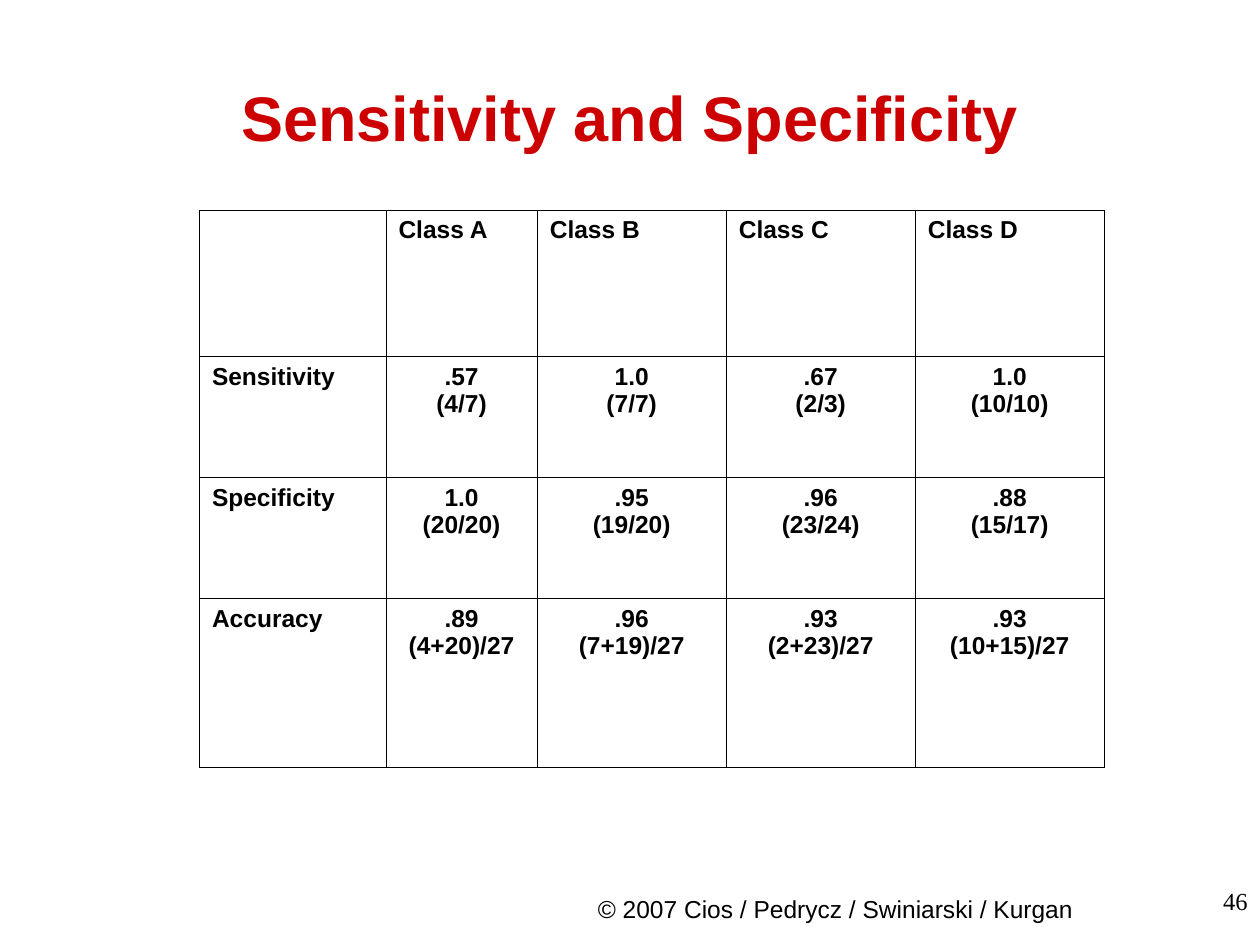
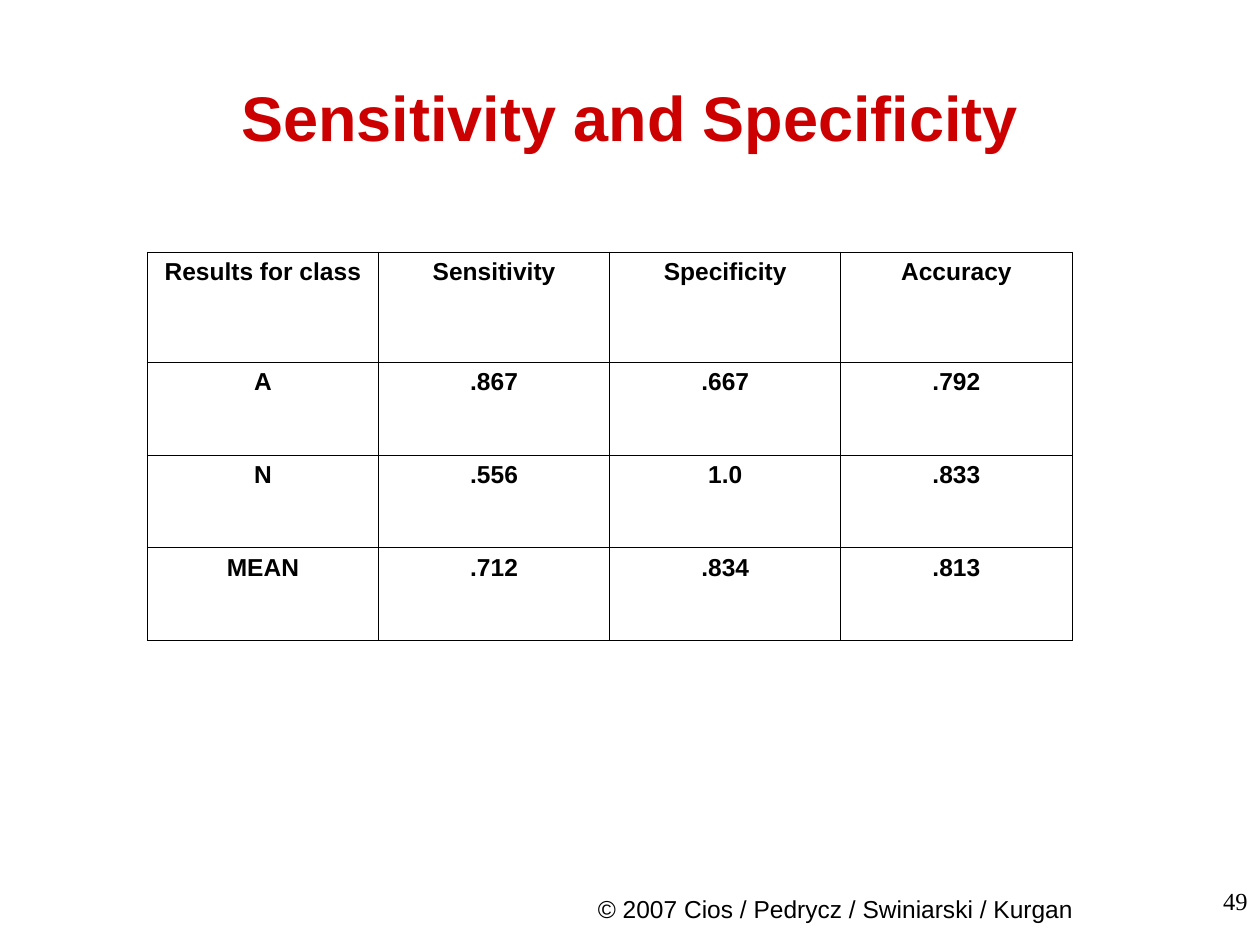
"""Build two slides with tables of sensitivity, specificity and accuracy."""
from lxml import etree
from pptx import Presentation
from pptx.dml.color import RGBColor
from pptx.enum.text import MSO_ANCHOR, PP_ALIGN
from pptx.oxml.ns import qn
from pptx.util import Cm, Pt

CENTER, RIGHT, JUSTIFY = PP_ALIGN.CENTER, PP_ALIGN.RIGHT, PP_ALIGN.JUSTIFY
TOP, MIDDLE, BOTTOM = MSO_ANCHOR.TOP, MSO_ANCHOR.MIDDLE, MSO_ANCHOR.BOTTOM

COLORS = {"title": "CC0000", "text": "000000", "border": "000000", "cell": "FFFFFF"}
TITLE = "Sensitivity and Specificity"
FOOTER = "© 2007 Cios / Pedrycz / Swiniarski / Kurgan"
TITLE_BOX = (1.27, 0.76, 22.86, 3.18)
FOOTER_BOX = (8.69, 17.35, 16.31, 1.32)
NUMBER_BOX = (19.48, 17.73, 5.92, 1.32)
BORDER_WIDTH = Pt(0.45)

SLIDES = [
    {
        "number": "46",
        "origin": (4.02, 4.24),
        "widths": [3.76, 3.05, 3.81, 3.81, 3.81],
        "heights": [2.95, 2.44, 2.44, 3.4],
        "label_align": JUSTIFY,
        "rows": [
            ["", "Class A", "Class B", "Class C", "Class D"],
            ["Sensitivity", ".57\n(4/7)", "1.0\n(7/7)", ".67\n(2/3)", "1.0\n(10/10)"],
            ["Specificity", "1.0\n(20/20)", ".95\n(19/20)", ".96\n(23/24)", ".88\n(15/17)"],
            ["Accuracy", ".89 (4+20)/27", ".96\n(7+19)/27", ".93\n(2+23)/27", ".93\n(10+15)/27"],
        ],
    },
    {
        "number": "49",
        "origin": (2.97, 5.08),
        "widths": [4.66] * 4,
        "heights": [2.22] + [1.87] * 3,
        "label_align": CENTER,
        "rows": [
            ["Results for class", "Sensitivity", "Specificity", "Accuracy"],
            ["A", ".867", ".667", ".792"],
            ["N", ".556", "1.0", ".833"],
            ["MEAN", ".712", ".834", ".813"],
        ],
    },
]


def write(tf, text, align, size=14, font="Arial", color="text", bold=False):
    tf.text = text
    for p in tf.paragraphs:
        p.alignment = align
        p.font.size = Pt(size)
        p.font.name = font
        p.font.bold = bold
        p.font.color.rgb = RGBColor.from_string(COLORS[color])


def add_label(s, box, text, align, anchor, font="Arial"):
    tf = s.shapes.add_textbox(*map(Cm, box)).text_frame
    tf.word_wrap = True
    tf.vertical_anchor = anchor
    tf.margin_bottom = Cm(0.06)
    write(tf, text, align, font=font)


def style_cell(cell):
    cell.fill.solid()
    cell.fill.fore_color.rgb = RGBColor.from_string(COLORS["cell"])
    tcPr = cell._tc.get_or_add_tcPr()
    for i, side in enumerate(("lnL", "lnR", "lnT", "lnB")):
        ln = etree.Element(qn(f"a:{side}"), w=str(BORDER_WIDTH))
        fill = etree.SubElement(ln, qn("a:solidFill"))
        etree.SubElement(fill, qn("a:srgbClr"), val=COLORS["border"])
        tcPr.insert(i, ln)


def add_results(s, spec):
    rows, widths, heights = spec["rows"], spec["widths"], spec["heights"]
    size = (sum(widths), sum(heights))
    table = s.shapes.add_table(len(rows), len(widths), *map(Cm, spec["origin"] + size)).table
    table.first_row = table.horz_banding = False
    for col, width in zip(table.columns, widths):
        col.width = Cm(width)
    for r, (row, height) in enumerate(zip(rows, heights)):
        table.rows[r].height = Cm(height)
        for c, text in enumerate(row):
            cell = table.cell(r, c)
            style_cell(cell)
            if text:
                align = spec["label_align"] if r == 0 or c == 0 else CENTER
                write(cell.text_frame, text, align, bold=True)


def add_slide(prs, spec):
    s = prs.slides.add_slide(prs.slide_layouts[5])
    sp = s.shapes.title
    sp.left, sp.top, sp.width, sp.height = map(Cm, TITLE_BOX)
    sp.text_frame.vertical_anchor = MIDDLE
    write(sp.text_frame, TITLE, CENTER, size=36, color="title", bold=True)
    add_label(s, FOOTER_BOX, FOOTER, CENTER, BOTTOM)
    add_label(s, NUMBER_BOX, spec["number"], RIGHT, TOP, "Times New Roman")
    add_results(s, spec)


def main():
    prs = Presentation()
    prs.slide_width, prs.slide_height = Cm(25.4), Cm(19.05)
    for spec in SLIDES:
        add_slide(prs, spec)
    prs.save("out.pptx")


if __name__ == "__main__":
    main()
